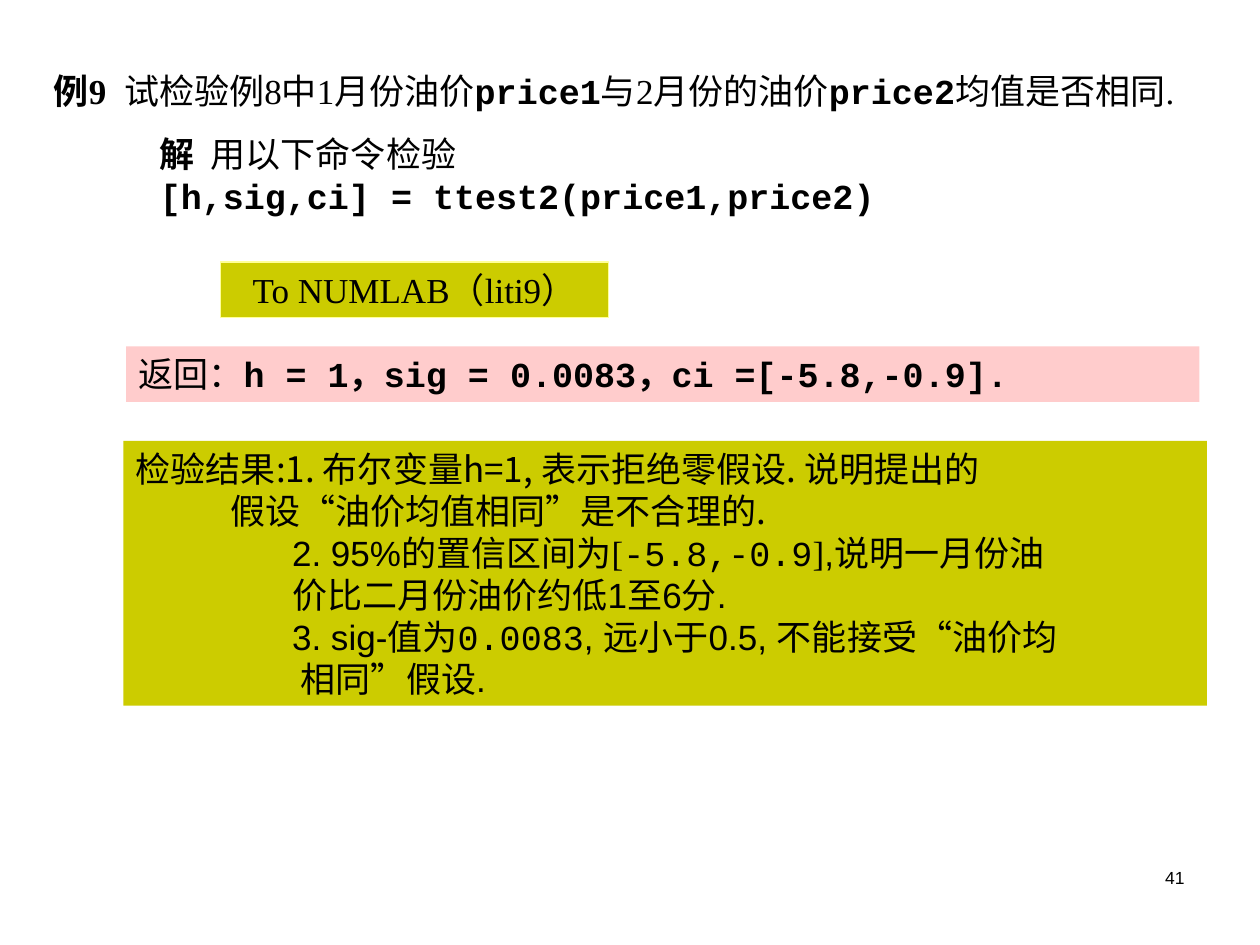
from pptx import Presentation
from pptx.dml.color import RGBColor
from pptx.enum.shapes import MSO_SHAPE as Shape
from pptx.enum.text import MSO_ANCHOR as Anchor, PP_ALIGN as Align
from pptx.oxml.ns import qn
from pptx.util import Inches, Pt

SERIF, SANS, MONO, HAN = "Times New Roman", "Arial", "Courier New", "Noto Sans CJK SC"
OLIVE, PINK, CREAM, BLACK = "CCCC00", "FFCCCC", "FFFF99", "000000"


def color(hex_text):
    return RGBColor.from_string(hex_text)


def add_run(p, text, font=SERIF, size=20, bold=False):
    r = p.add_run()
    r.text = text
    r.font.name, r.font.size, r.font.bold = font, Pt(size), bold
    r.font.color.rgb = color(BLACK)
    # Chinese characters always use the Han font
    ea = r._r.get_or_add_rPr().makeelement(qn("a:ea"), {"typeface": HAN})
    r.font._element.find(qn("a:latin")).addnext(ea)


def add_paragraph(tf, runs, first=False, align=Align.LEFT, indent=0):
    p = tf.paragraphs[0] if first else tf.add_paragraph()
    p.alignment = align
    if indent:
        p._p.get_or_add_pPr().set("marL", str(Inches(indent)))
    for text, fmt in runs:
        add_run(p, text, **fmt)


def add_block(s, box, lines, fill=None, line=None, align=Align.LEFT):
    """Text block; each line is (indent in inches, runs)."""
    place = [Inches(v) for v in box]
    if fill:
        sp = s.shapes.add_shape(Shape.RECTANGLE, *place)
        sp.shadow.inherit = False
        sp.fill.solid()
        sp.fill.fore_color.rgb = color(fill)
        if line:
            sp.line.color.rgb = color(line)
            sp.line.width = Pt(0.75)
        else:
            sp.line.fill.background()
    else:
        sp = s.shapes.add_textbox(*place)
    tf = sp.text_frame
    tf.word_wrap = True
    tf.vertical_anchor = Anchor.TOP
    for i, (indent, runs) in enumerate(lines):
        add_paragraph(tf, runs, first=i == 0, align=align, indent=indent)


def main():
    prs = Presentation()
    prs.slide_width, prs.slide_height = Inches(10), Inches(7.5)
    s = prs.slides.add_slide(prs.slide_layouts[6])

    # Run formats
    serif, sans, mono, han = (dict(font=f) for f in (SERIF, SANS, MONO, HAN))
    code = dict(font=MONO, bold=True)

    # Returned values
    add_block(s, (1, 2.75, 8.52, 0.44), [
        (0, [("返回：", serif), ("h = 1，sig = 0.0083，ci =[-5.8,-0.9].", code)]),
    ], fill=PINK)

    # Test results
    wide = 1.24
    add_block(s, (0.98, 3.5, 8.6, 2.1), [
        (0, [("检验结果:1. 布尔变量h=1, 表示拒绝零假设. 说明提出的", han)]),
        (0.75, [("假设“油价均值相同”是不合理的.", han)]),
        (wide, [("2. 95%的置信区间为", sans), ("[", serif), ("-5.8,-0.9", mono),
                ("]", serif), (",说明一月份油", sans)]),
        (wide, [("价比二月份油价约低1至6分.", sans)]),
        (wide, [("3. sig-值为", sans), ("0.0083", mono),
                (", 远小于0.5, 不能接受“油价均", sans)]),
        (wide + 0.07, [("相同”假设.", sans)]),
    ], fill=OLIVE, align=Align.JUSTIFY)

    # Button to the program
    add_block(s, (1.75, 2.08, 3.08, 0.44), [(0, [("To NUMLAB（liti9）", serif)])],
              fill=OLIVE, line=CREAM, align=Align.CENTER)

    # Question
    add_block(s, (0.33, 0.5, 9.67, 0.77), [
        (0, [("例9  ", dict(font=SERIF, bold=True)), ("试检验例8中1月份油价", serif),
             ("price1", code), ("与2月份的油价", serif),
             ("price2", code), ("均值是否相同.", serif)]),
    ])

    # Solution command
    add_block(s, (1.17, 1, 8.27, 0.77), [
        (0, [("解  ", dict(font=HAN, bold=True)), ("用以下命令检验", han)]),
        (0, [("[h,sig,ci] = ttest2(price1,price2)", code)]),
    ], align=Align.JUSTIFY)

    # Page number
    add_block(s, (7.17, 6.83, 2.33, 0.5), [(0, [("41", dict(font=SANS, size=10))])],
              align=Align.RIGHT)

    prs.save("out.pptx")


if __name__ == "__main__":
    main()
